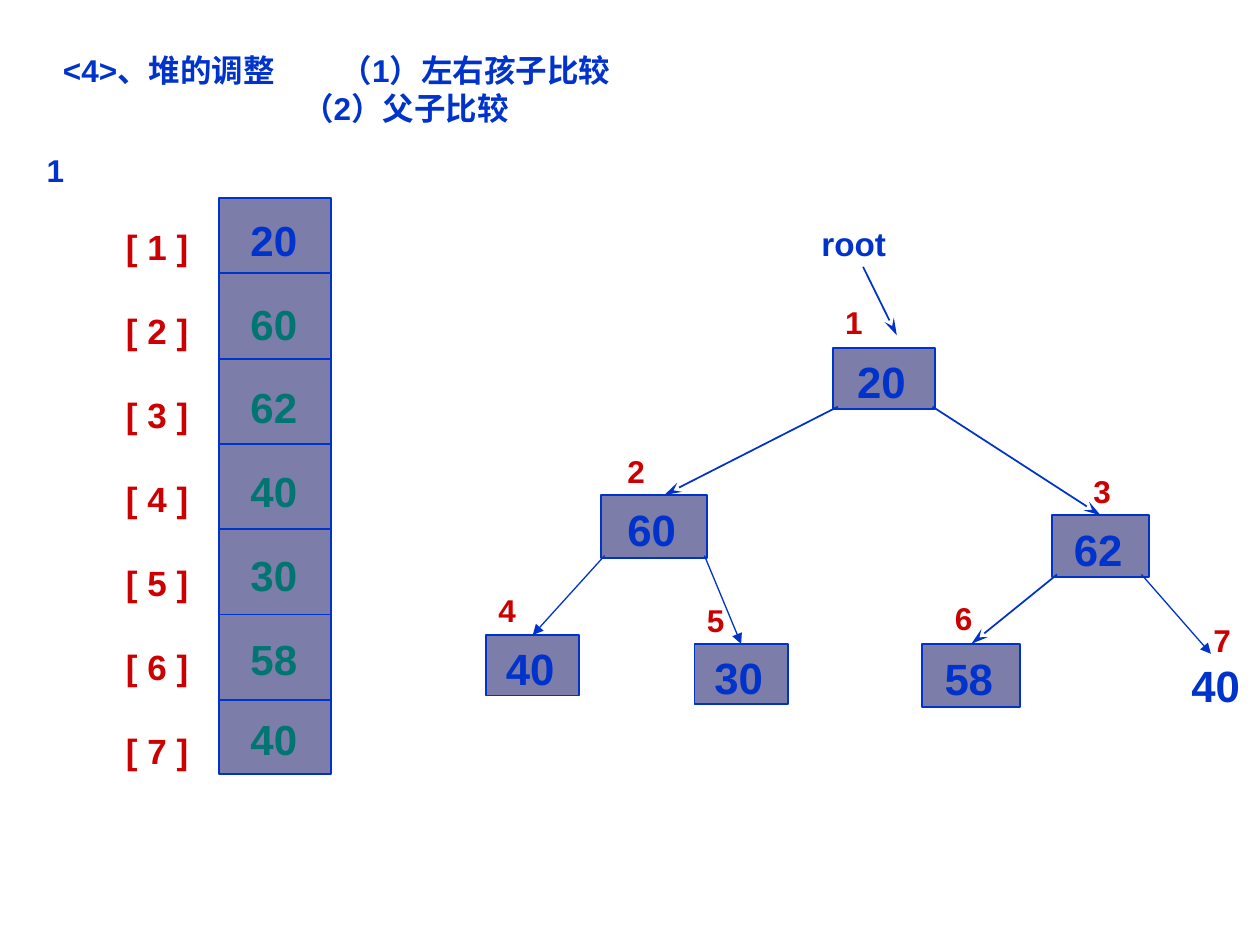
from pptx import Presentation
from pptx.dml.color import RGBColor
from pptx.enum.shapes import MSO_CONNECTOR, MSO_SHAPE
from pptx.enum.text import MSO_ANCHOR, PP_ALIGN
from pptx.oxml.ns import qn
from pptx.util import Cm, Pt
from lxml.etree import SubElement

BLUE = RGBColor(0x00, 0x33, 0xCC)
RED = RGBColor(0xCC, 0x00, 0x00)
TEAL = RGBColor(0x00, 0x75, 0x72)
SLATE = RGBColor(0x7D, 0x7D, 0xA9)


def add_text(x, y, w, h, lines, size, color=BLUE, gap=0):
    tf = s.shapes.add_textbox(Cm(x), Cm(y), Cm(w), Cm(h)).text_frame
    tf.text = "\n".join(lines)
    for i, p in enumerate(tf.paragraphs):
        p.line_spacing = Pt(size * 1.2)
        p.space_before = Pt(gap if i else 0)
        p.font.name = "Arial"
        p.font.size = Pt(size)
        p.font.bold = True
        p.font.color.rgb = color
    return tf


def add_line(x1, y1, x2, y2, width=1, head=None, length="med"):
    c = s.shapes.add_connector(MSO_CONNECTOR.STRAIGHT, Cm(x1), Cm(y1), Cm(x2), Cm(y2))
    c.line.color.rgb = BLUE
    c.line.width = Pt(width)
    if head:
        SubElement(c.line._get_or_add_ln(), qn("a:tailEnd"), type=head, w="med", len=length)
    SubElement(c._element.spPr, qn("a:effectLst"))
    return c


prs = Presentation()
prs.slide_width = Cm(25.4)
prs.slide_height = Cm(19.05)
s = prs.slides.add_slide(prs.slide_layouts[6])

tf = add_text(1.02, 0.91, 11.66, 1.78, ["<4>、堆的调整\t（1）左右孩子比较", "（2）父子比较"], 18)
pPr = tf.paragraphs[0]._p.get_or_add_pPr()
tabs = pPr.makeelement(qn("a:tabLst"))
SubElement(tabs, qn("a:tab"), pos=str(Cm(5.6)), algn="l")
pPr.find(qn("a:defRPr")).addprevious(tabs)
tf.paragraphs[1]._p.get_or_add_pPr().set("marL", str(Cm(4.82)))

add_text(0.69, 2.92, 3.2, 1.02, ["1"], 18)
add_text(2.29, 4.42, 1.78, 11.25, [f"[ {i} ]" for i in range(1, 8)], 20, RED, 24)

sp = s.shapes.add_shape(MSO_SHAPE.RECTANGLE, Cm(4.42), Cm(3.99), Cm(2.26), Cm(11.61))
sp.shadow.inherit = False
sp.fill.solid()
sp.fill.fore_color.rgb = SLATE
sp.line.color.rgb = BLUE
sp.line.width = Pt(1)
for i in range(6):
    y = 5.51 + 1.72 * i
    add_line(4.4, y, 6.68, y)

tf = add_text(4.8, 4.19, 1.45, 11.35, ["20", "60", "62", "40", "30", "58", "40"], 24, TEAL, 19.2)
tf.paragraphs[0].font.color.rgb = BLUE
tf.paragraphs[-1].space_before = Pt(16.8)

nodes = {}
for key, value, x, y, w, h in [
    (1, "20", 16.79, 7.01, 2.06, 1.24),
    (2, "60", 12.12, 9.98, 2.13, 1.27),
    (3, "62", 21.21, 10.39, 1.96, 1.24),
    (4, "40", 9.8, 12.8, 1.88, 1.22),
    (5, "30", 14, 12.98, 1.88, 1.22),
    (6, "58", 18.59, 12.98, 1.98, 1.27),
]:
    sp = s.shapes.add_shape(MSO_SHAPE.RECTANGLE, Cm(x), Cm(y), Cm(w), Cm(h))
    sp.shadow.inherit = False
    sp.fill.solid()
    sp.fill.fore_color.rgb = SLATE
    sp.line.color.rgb = BLUE
    sp.line.width = Pt(1)
    tf = sp.text_frame
    tf.margin_top = Cm(0.2)
    tf.margin_bottom = Cm(0.1)
    tf.margin_left = Cm(0)
    tf.margin_right = Cm(0.1)
    tf.vertical_anchor = MSO_ANCHOR.MIDDLE
    p = tf.paragraphs[0]
    p.text = value
    p.alignment = PP_ALIGN.CENTER
    p.font.name = "Arial"
    p.font.size = Pt(25)
    p.font.bold = True
    p.font.color.rgb = BLUE
    nodes[key] = sp

add_text(23.77, 13.16, 1.63, 1.3, ["40"], 25)
add_text(16.31, 4.37, 2.1, 1.02, ["root"], 19)

for i, (x, y) in enumerate([
    (16.79, 5.99), (12.4, 8.99), (21.79, 9.4), (9.8, 11.79),
    (14, 11.99), (19, 11.96), (24.21, 12.4),
], 1):
    add_text(x, y, 0.86, 1.02, [str(i)], 18, RED)

for x1, y1, x2, y2, width, head, length, child in [
    (17.4, 5.38, 18.08, 6.76, 1, "stealth", "lg", None),
    (16.89, 8.2, 13.39, 9.98, 1, "stealth", "lg", None),
    (18.8, 8.2, 22.2, 10.39, 1, "stealth", "lg", 3),
    (12.19, 11.2, 10.8, 12.8, 0.75, "triangle", "med", 4),
    (14.2, 11.2, 14.99, 12.98, 0.75, "triangle", "med", 5),
    (21.31, 11.58, 19.61, 12.98, 1, "stealth", "lg", 6),
    (23.01, 11.58, 24.41, 13.18, 0.75, "triangle", "med", None),
]:
    c = add_line(x1, y1, x2, y2, width, head, length)
    if child:
        c.end_connect(nodes[child], 0)

prs.save("out.pptx")
